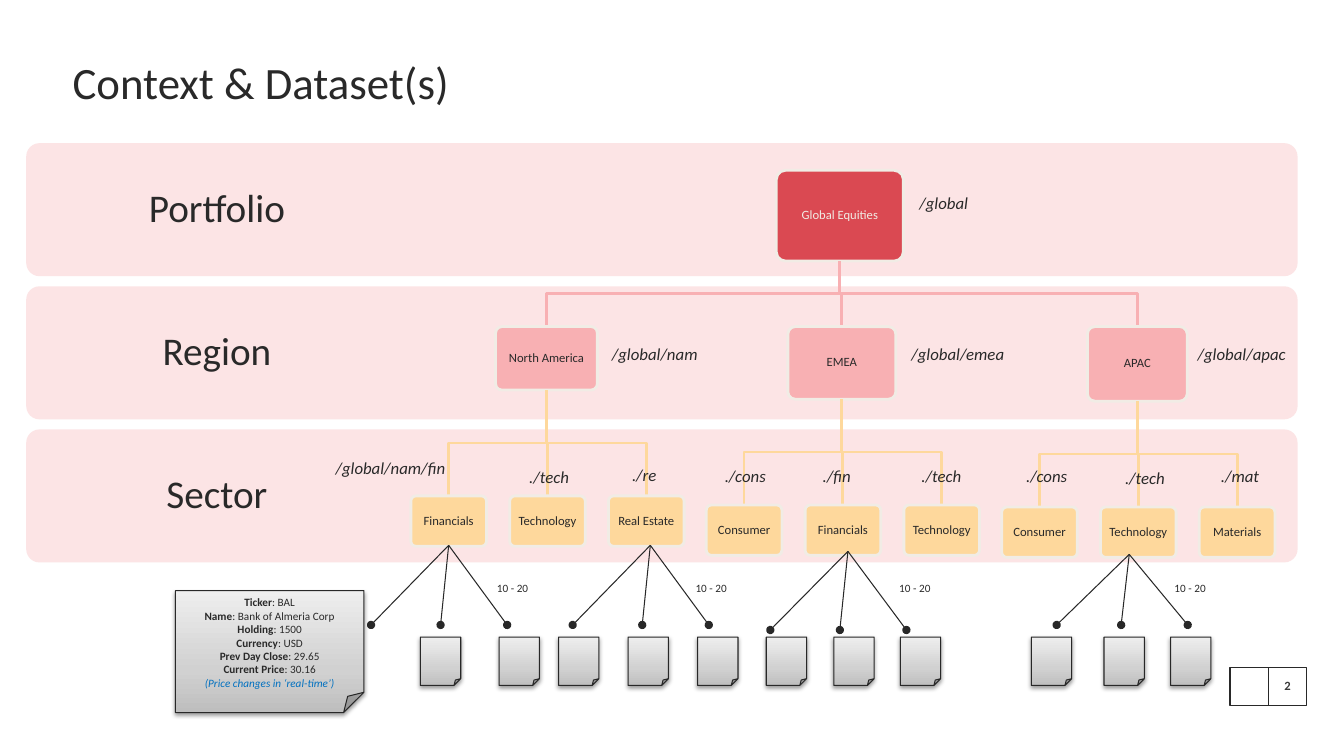
from copy import deepcopy

from lxml.etree import SubElement
from pptx import Presentation
from pptx.dml.color import RGBColor
from pptx.enum.shapes import MSO_CONNECTOR, MSO_SHAPE as SHAPE
from pptx.enum.text import MSO_ANCHOR as ANCHOR, PP_ALIGN as ALIGN
from pptx.oxml.ns import qn
from pptx.util import Inches, Pt

FONT = "Calibri"
WHITE = RGBColor(0xFF, 0xFF, 0xFF)
INK = RGBColor(0x29, 0x29, 0x29)
EDGE = RGBColor(0x28, 0x28, 0x28)
PAGE_INK = RGBColor(0x3A, 0x3A, 0x3A)
BAND = RGBColor(0xFC, 0xE4, 0xE5)
CREAM = RGBColor(0xF1, 0xEC, 0xE5)
RED = RGBColor(0xDA, 0x49, 0x52)
PINK = RGBColor(0xF8, 0xB0, 0xB3)
YELLOW = RGBColor(0xFE, 0xD8, 0x9C)
BLUE = RGBColor(0x00, 0x70, 0xC0)
NOTE_STOPS = [
    (0, RGBColor(0xBE, 0xBE, 0xBE)),
    (0.35, RGBColor(0xD1, 0xD1, 0xD1)),
    (1, RGBColor(0xEE, 0xEE, 0xEE)),
]

SECTOR_W, SECTOR_H, SECTOR_STEP = 0.75, 0.5, 0.98
NOTE_W, NOTE_H, NOTE_Y = 0.4, 0.48, 6.32

BANDS = ["Portfolio", "Region", "Sector"]
REGIONS = [
    ("North America", 5.42, 1.01, 0.63, ["Financials", "Technology", "Real Estate"]),
    ("EMEA", 8.35, 1.07, 0.72, ["Consumer", "Financials", "Technology"]),
    ("APAC", 11.28, 0.99, 0.74, ["Consumer", "Technology", "Materials"]),
]
FANS = [
    (4.45, 5.41, [3.68, 4.37, 5.03], 6.2, 4.83, [4.17, 4.95]),
    (6.45, 5.41, [5.68, 6.37, 7.03], 6.2, 6.8, [5.54, 6.23, 6.92]),
    (8.41, 5.47, [7.64, 8.33, 8.99], 6.25, 8.82, [7.6, 8.27, 8.93]),
    (11.2, 5.5, [10.48, 11.12, 11.78], 6.2, 11.55, [10.23, 10.95, 11.61]),
]
PATHS = [
    ("/global", 9.02, 1.86, 1.42),
    ("/global/nam", 5.97, 3.36, 1.54),
    ("/global/emea", 8.94, 3.36, 1.75),
    ("/global/apac", 11.78, 3.36, 1.23),
    ("/global/nam/fin", 3.23, 4.49, 1.54),
    ("./tech", 5.15, 4.58, 0.62),
    ("./re", 6.17, 4.56, 0.62),
    ("./cons", 7.09, 4.57, 0.62),
    ("./fin", 8.06, 4.57, 0.62),
    ("./tech", 9.04, 4.57, 0.62),
    ("./cons", 10.08, 4.57, 0.62),
    ("./tech", 11.06, 4.59, 0.62),
    ("./mat", 12.01, 4.57, 0.62),
]
HOLDING = [
    ("Ticker", "BAL"),
    ("Name", "Bank of Almeria Corp"),
    ("Holding", "1500"),
    ("Currency", "USD"),
    ("Prev Day Close", "29.65"),
    ("Current Price", "30.16"),
]


def style(p, size, color=INK, align=ALIGN.LEFT, spacing=None):
    p.font.name, p.font.size, p.font.color.rgb = FONT, Pt(size), color
    p.alignment = align
    if spacing:
        p.line_spacing = spacing


def set_inset(tf, inset):
    tf.margin_left = tf.margin_right = tf.margin_top = tf.margin_bottom = Inches(inset)


def add_text(s, text, x, y, w, h, size, align=ALIGN.LEFT, anchor=ANCHOR.TOP,
             inset=None, spacing=None, color=INK):
    tf = s.shapes.add_textbox(Inches(x), Inches(y), Inches(w), Inches(h)).text_frame
    tf.word_wrap = True
    tf.vertical_anchor = anchor
    if inset is not None:
        set_inset(tf, inset)
    p = tf.paragraphs[0]
    p.text = text
    style(p, size, color, align, spacing)
    return p


def add_box(s, kind, x, y, w, h, fill=None, line=None, width=1):
    sp = s.shapes.add_shape(kind, Inches(x), Inches(y), Inches(w), Inches(h))
    sp.shadow.inherit = False
    if kind == SHAPE.ROUNDED_RECTANGLE:
        sp.adjustments[0] = 0.1
    if fill:
        sp.fill.solid()
        sp.fill.fore_color.rgb = fill
    else:
        sp.fill.background()
    if line:
        sp.line.color.rgb, sp.line.width = line, Pt(width)
    else:
        sp.line.fill.background()
    return sp


def add_band(s, label, x, y, w, h):
    add_box(s, SHAPE.ROUNDED_RECTANGLE, x, y, w, h, BAND)
    add_text(s, label, x, y, w * 0.3, h, 28, ALIGN.CENTER, ANCHOR.MIDDLE, 0.22, 0.9)


def add_node(s, label, x, y, w, h, fill, color=INK):
    sp = add_box(s, SHAPE.ROUNDED_RECTANGLE, x, y, w, h, fill, CREAM, 2)
    tf = sp.text_frame
    tf.word_wrap = True
    tf.vertical_anchor = ANCHOR.MIDDLE
    set_inset(tf, 0.04)
    p = tf.paragraphs[0]
    p.text = label
    style(p, 9, color, ALIGN.CENTER, 0.9)


def add_branch(s, x1, y1, x2, y2, color):
    middle = (y1 + y2) / 2
    fb = s.shapes.build_freeform(Inches(x1), Inches(y1))
    corners = [(x1, middle), (x2, middle), (x2, y2)]
    fb.add_line_segments([(Inches(x), Inches(y)) for x, y in corners], close=False)
    sp = fb.convert_to_shape()
    sp.shadow.inherit = False
    sp.fill.background()
    sp.line.color.rgb, sp.line.width = color, Pt(2)


def add_tree(s, x, y, w, h):
    root_x, root_bottom = x + w / 2, y + h
    add_node(s, "Global Equities", x, y, w, h, RED, CREAM)
    for region, cx, rw, rh, sectors in REGIONS:
        top = root_bottom + 0.65
        bottom = top + rh
        add_branch(s, root_x, root_bottom, cx, top, PINK)
        add_node(s, region, cx - rw / 2, top, rw, rh, PINK)
        for i, sector in enumerate(sectors):
            sx, sy = cx + 0.01 + (i - 1) * SECTOR_STEP, bottom + 1.05
            add_branch(s, cx, bottom, sx, sy, YELLOW)
            add_node(s, sector, sx - SECTOR_W / 2, sy, SECTOR_W, SECTOR_H, YELLOW)


def add_note(s, x, y, w, h):
    sp = add_box(s, SHAPE.FOLDED_CORNER, x, y, w, h, WHITE, EDGE, 0.75)
    sp.fill.gradient()
    sp.fill.gradient_angle = 90
    stops = next(sp.element.iter(qn("a:gsLst")))
    stops.append(deepcopy(stops[0]))
    for stop, (position, color) in zip(sp.fill.gradient_stops, NOTE_STOPS):
        stop.position, stop.color.rgb = position, color
    effects = sp.element.spPr.find(qn("a:effectLst"))
    shadow = SubElement(effects, qn("a:outerShdw"), blurRad=str(Pt(3.1)),
                        dist=str(Pt(1.6)), dir="5400000", rotWithShape="0")
    black = SubElement(shadow, qn("a:srgbClr"), val="000000")
    SubElement(black, qn("a:alpha"), val="38000")
    return sp


def add_holding(s, x, y, w, h):
    tf = add_note(s, x, y, w, h).text_frame
    tf.word_wrap = True
    tf.vertical_anchor = ANCHOR.TOP
    for i, (label, value) in enumerate(HOLDING):
        p = tf.add_paragraph() if i else tf.paragraphs[0]
        style(p, 8, INK, ALIGN.CENTER)
        r = p.add_run()
        r.text, r.font.bold = label, True
        p.add_run().text = f": {value}"
    p = tf.add_paragraph()
    p.text = "(Price changes in ‘real-time’)"
    style(p, 8, BLUE, ALIGN.CENTER)
    p.font.italic = True


def add_fan(s, x, y, ends, end_y, label_x, notes):
    for end_x in ends:
        c = s.shapes.add_connector(MSO_CONNECTOR.STRAIGHT, Inches(x), Inches(y),
                                   Inches(end_x), Inches(end_y))
        c.line.color.rgb, c.line.width = EDGE, Pt(0.75)
        spPr = c.element.spPr
        SubElement(spPr.find(qn("a:ln")), qn("a:tailEnd"), type="oval")
        SubElement(spPr, qn("a:effectLst"))
    add_text(s, "10 - 20", label_x, 5.72, 0.59, 0.24, 8)
    for note_x in notes:
        add_note(s, note_x, NOTE_Y, NOTE_W, NOTE_H)


def add_page_number(s, x, y, side):
    for i in range(2):
        add_box(s, SHAPE.RECTANGLE, x + i * side, y, side, side, None, INK, 1)
    p = add_text(s, "2", x + side, y, side, side, 9, ALIGN.CENTER, ANCHOR.MIDDLE,
                 0, 0.85, PAGE_INK)
    p.font.bold = True


def main():
    prs = Presentation()
    prs.slide_width, prs.slide_height = Inches(13.33), Inches(7.5)
    s = prs.slides.add_slide(prs.slide_layouts[6])
    add_page_number(s, 12.2, 6.62, 0.38)
    add_text(s, "Context & Dataset(s)", 0.72, 0.6, 12, 0.57, 32, inset=0, spacing=0.9)
    for i, band in enumerate(BANDS):
        add_band(s, band, 0.26, 1.42 * (i + 1), 12.61, 1.32)
    add_tree(s, 7.7, 1.69, 1.26, 0.9)
    for fan in FANS:
        add_fan(s, *fan)
    add_holding(s, 1.74, 5.86, 1.87, 1.21)
    for label, x, y, w in PATHS:
        add_text(s, label, x, y, w, 0.3, 12).font.italic = True
    prs.save("out.pptx")


if __name__ == "__main__":
    main()
